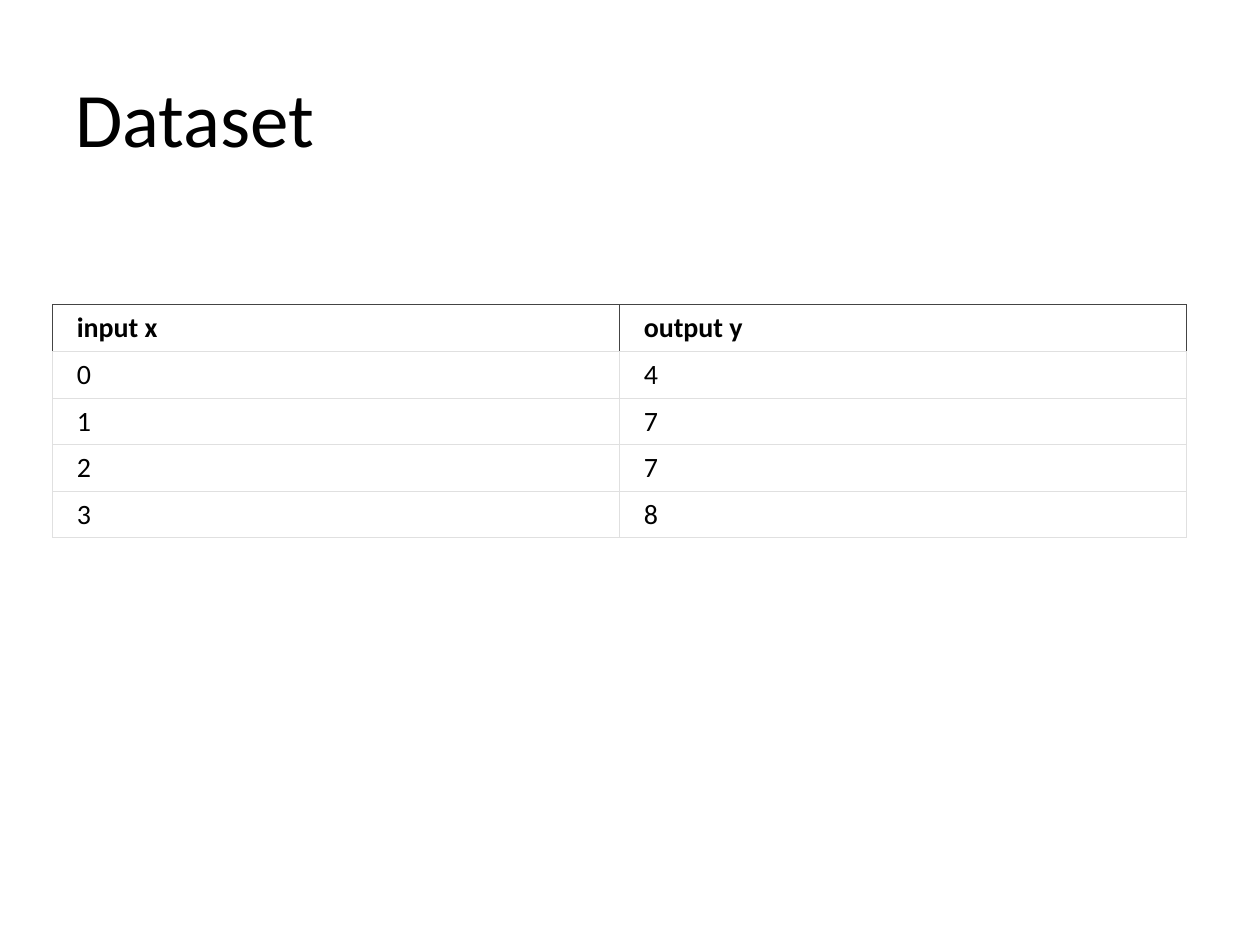
from lxml import etree
from pptx import Presentation
from pptx.dml.color import RGBColor
from pptx.enum.text import MSO_ANCHOR
from pptx.oxml.ns import qn
from pptx.util import Inches, Pt

MIDDLE = MSO_ANCHOR.MIDDLE
DARK, PALE = "444444", "E0E0E0"
ROWS = [("input x", "output y"), ("0", "4"), ("1", "7"), ("2", "7"), ("3", "8")]


def write(frame, text, size, bold=False):
    run = frame.paragraphs[0].add_run()
    run.text = text
    font = run.font
    font.name, font.size, font.bold = "Calibri", Pt(size), bold
    font.color.rgb = RGBColor.from_string("000000")


def edge(cell, side, color):
    """Draw one cell border; side is L, R, T or B, called in that order."""
    line = etree.SubElement(cell._tc.get_or_add_tcPr(), qn("a:ln" + side), w=str(Pt(0.75)))
    fill = etree.SubElement(line, qn("a:solidFill"))
    etree.SubElement(fill, qn("a:srgbClr"), val=color)


deck = Presentation()
deck.slide_width, deck.slide_height = Inches(10), Inches(7.5)
slide = deck.slides.add_slide(deck.slide_layouts[6])

title = slide.shapes.add_textbox(Inches(0.5), Inches(0.3), Inches(9), Inches(1.25))
title.text_frame.word_wrap = True
title.text_frame.vertical_anchor = MIDDLE
write(title.text_frame, "Dataset", 44)

table = slide.shapes.add_table(
    len(ROWS), 2, Inches(0.42), Inches(2.42), Inches(9), Inches(0.37 * len(ROWS))
).table
table.horz_banding = False

for r, row in enumerate(ROWS):
    head = r == 0
    for c, text in enumerate(row):
        cell = table.cell(r, c)
        cell.margin_left = cell.margin_right = Inches(0.19)
        cell.margin_top = cell.margin_bottom = Inches(0.05)
        cell.vertical_anchor = MIDDLE
        for side in "LRTB":
            edge(cell, side, DARK if head and side != "B" else PALE)
        cell.fill.solid()
        cell.fill.fore_color.rgb = RGBColor.from_string("FFFFFF")
        write(cell.text_frame, text, 16, head)

deck.save("out.pptx")
